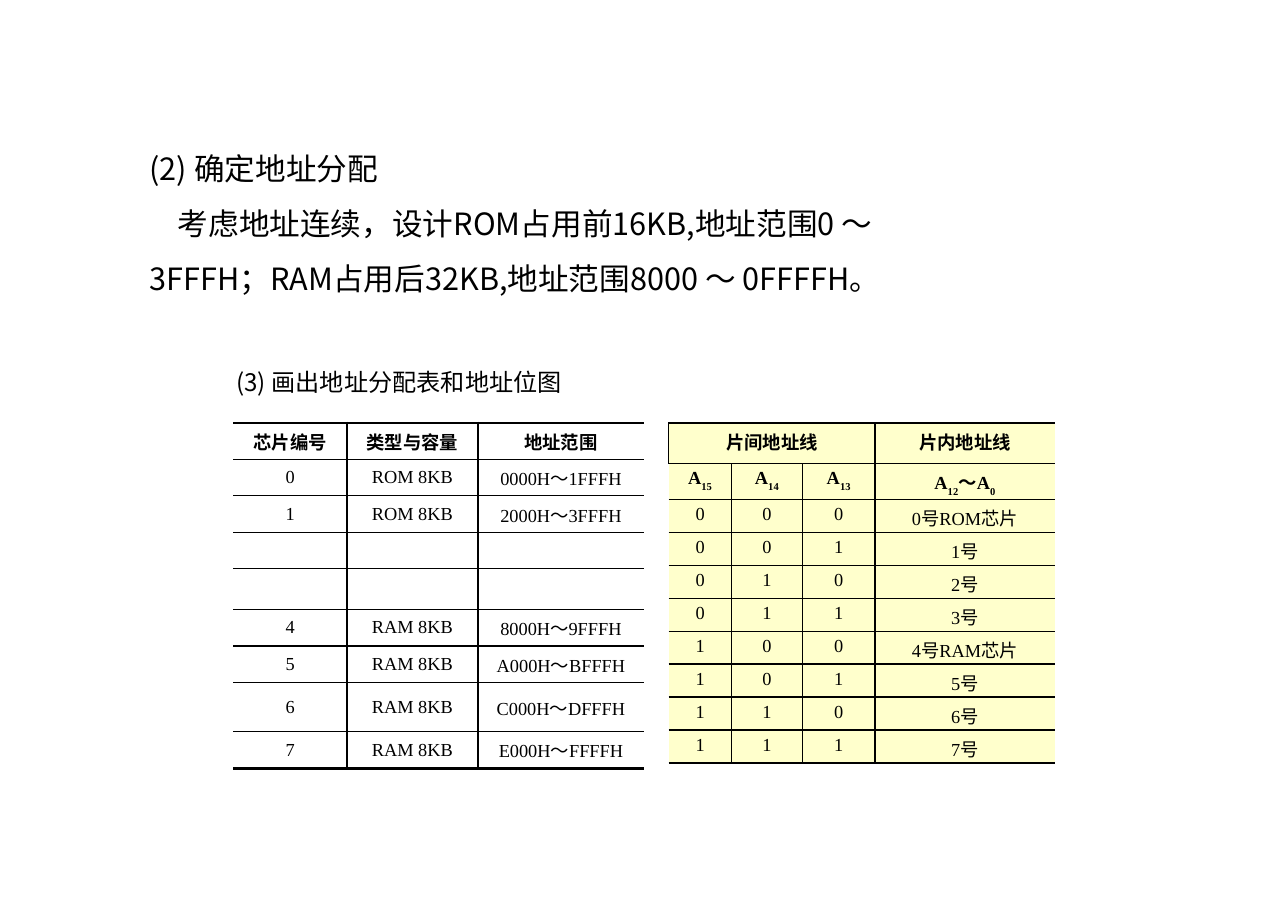
from dataclasses import dataclass

from lxml.etree import SubElement
from pptx import Presentation
from pptx.dml.color import RGBColor
from pptx.enum.text import MSO_ANCHOR, MSO_AUTO_SIZE, PP_ALIGN
from pptx.oxml.ns import qn
from pptx.util import Cm, Pt

COLORS = {"ink": "000000", "white": "FFFFFF", "cream": "FFFFCC"}
SERIF = "Times New Roman"
SANS = "Noto Sans CJK SC"


@dataclass
class Note:
    left: float
    top: float
    width: float
    height: float
    size: float
    space: float
    lines: list[str]
    indent: float = 0


@dataclass
class Grid:
    left: float
    top: float
    cols: list[float]
    rows: list[float]
    cells: list[list[str]]
    fill: str
    anchor: MSO_ANCHOR
    heads: int
    edge: float
    boxed: bool = False


def style(run, size: float, face: str, bold: bool = False) -> None:
    font = run.font
    font.size = Pt(size)
    font.bold = bold
    font.color.rgb = RGBColor.from_string(COLORS["ink"])
    font.name = face
    SubElement(run._r.get_or_add_rPr(), qn("a:ea"), typeface=SANS)


def add_note(slide, note: Note) -> None:
    box = slide.shapes.add_textbox(
        Cm(note.left), Cm(note.top), Cm(note.width), Cm(note.height))
    frame = box.text_frame
    frame.word_wrap = True
    frame.auto_size = MSO_AUTO_SIZE.SHAPE_TO_FIT_TEXT
    frame.text = "\n".join(note.lines)
    for para in frame.paragraphs:
        para.line_spacing = note.space
        for run in para.runs:
            style(run, note.size, SANS)
    if note.indent:
        props = frame.paragraphs[-1]._p.get_or_add_pPr()
        props.set("marL", "0")
        props.set("indent", str(Cm(note.indent)))


def set_line(cell, side: str, width: float) -> None:
    line = SubElement(cell._tc.get_or_add_tcPr(), qn(f"a:ln{side}"), w=str(Pt(width)))
    if width:
        fill = SubElement(line, qn("a:solidFill"))
        SubElement(fill, qn("a:srgbClr"), val=COLORS["ink"])
    else:
        SubElement(line, qn("a:noFill"))


def fill_cell(cell, text: str, bold: bool) -> None:
    para = cell.text_frame.paragraphs[0]
    para.alignment = PP_ALIGN.CENTER
    first, *rest = text.split("|")
    para.text = first
    for part in rest:
        para.add_run().text = part
    for i, run in enumerate(para.runs):
        style(run, 12, SERIF, bold)
        if i % 2:
            run._r.get_or_add_rPr().set("baseline", "-30000")
    if not text:
        SubElement(para._p, qn("a:endParaRPr"), sz="1200")


def add_grid(slide, grid: Grid) -> None:
    count, span = len(grid.rows), len(grid.cols)
    table = slide.shapes.add_table(
        count, span, Cm(grid.left), Cm(grid.top),
        Cm(sum(grid.cols)), Cm(sum(grid.rows))).table
    table.first_row = table.horz_banding = False
    for col, width in zip(table.columns, grid.cols):
        col.width = Cm(width)
    for row, height in zip(table.rows, grid.rows):
        row.height = Cm(height)
    for r, texts in enumerate(grid.cells):
        for c, text in enumerate(texts):
            cell = table.cell(r, c)
            cell.margin_left = cell.margin_right = Cm(0.23)
            cell.margin_top = cell.margin_bottom = Cm(0.11)
            cell.vertical_anchor = grid.anchor
            fill_cell(cell, text, r < grid.heads)
            set_line(cell, "L", 1 if c or (grid.boxed and r == 0) else 0)
            set_line(cell, "R", 1 if c < span - 1 else 0)
            set_line(cell, "T", 1 if r else grid.edge)
            set_line(cell, "B", 1 if r < count - 1 else grid.edge)
            cell.fill.solid()
            cell.fill.fore_color.rgb = RGBColor.from_string(COLORS[grid.fill])
    if grid.boxed:
        table.cell(0, 0).merge(table.cell(0, span - 2))


def chip_row(n: int) -> list[str]:
    if n in (2, 3):
        return ["", "", ""]
    start = n * 0x2000
    kind = "ROM" if n < 2 else "RAM"
    return [str(n), f"{kind} 8KB", f"{start:04X}H～{start + 0x1FFF:04X}H"]


def bit_row(n: int) -> list[str]:
    kind = {0: "ROM芯片", 4: "RAM芯片"}.get(n, "")
    return [*f"{n:03b}", f"{n}号{kind}"]


NOTES = [
    Note(5.2, 8.1, 13, 1.07, 15.8, 1.35, ["(3) 画出地址分配表和地址位图"]),
    Note(3.2, 2.9, 19.13, 3.96, 20, 1.5, [
        "(2) 确定地址分配",
        "考虑地址连续，设计ROM占用前16KB,地址范围0 ～ 3FFFH；"
        "RAM占用后32KB,地址范围8000 ～ 0FFFFH。"], 0.65),
]
GRIDS = [
    Grid(5.38, 9.75, [2.62, 3.02, 3.83],
         [0.84] * 4 + [0.94, 0.84, 0.84, 1.14, 0.84],
         [["芯片编号", "类型与容量", "地址范围"]] + [chip_row(n) for n in range(8)],
         "white", MSO_ANCHOR.MIDDLE, 1, 2),
    Grid(15.42, 9.75, [1.45, 1.63, 1.68, 4.14],
         [0.94, 0.81] + [0.76] * 8,
         [["片间地址线", "", "", "片内地址线"],
          ["A|15", "A|14", "A|13", "A|12|～A|0"]] + [bit_row(n) for n in range(8)],
         "cream", MSO_ANCHOR.TOP, 2, 1, True),
]


def main() -> None:
    deck = Presentation()
    deck.slide_width, deck.slide_height = Cm(29.7), Cm(21)
    slide = deck.slides.add_slide(deck.slide_layouts[6])
    for note in NOTES:
        add_note(slide, note)
    for grid in GRIDS:
        add_grid(slide, grid)
    deck.save("out.pptx")


if __name__ == "__main__":
    main()
